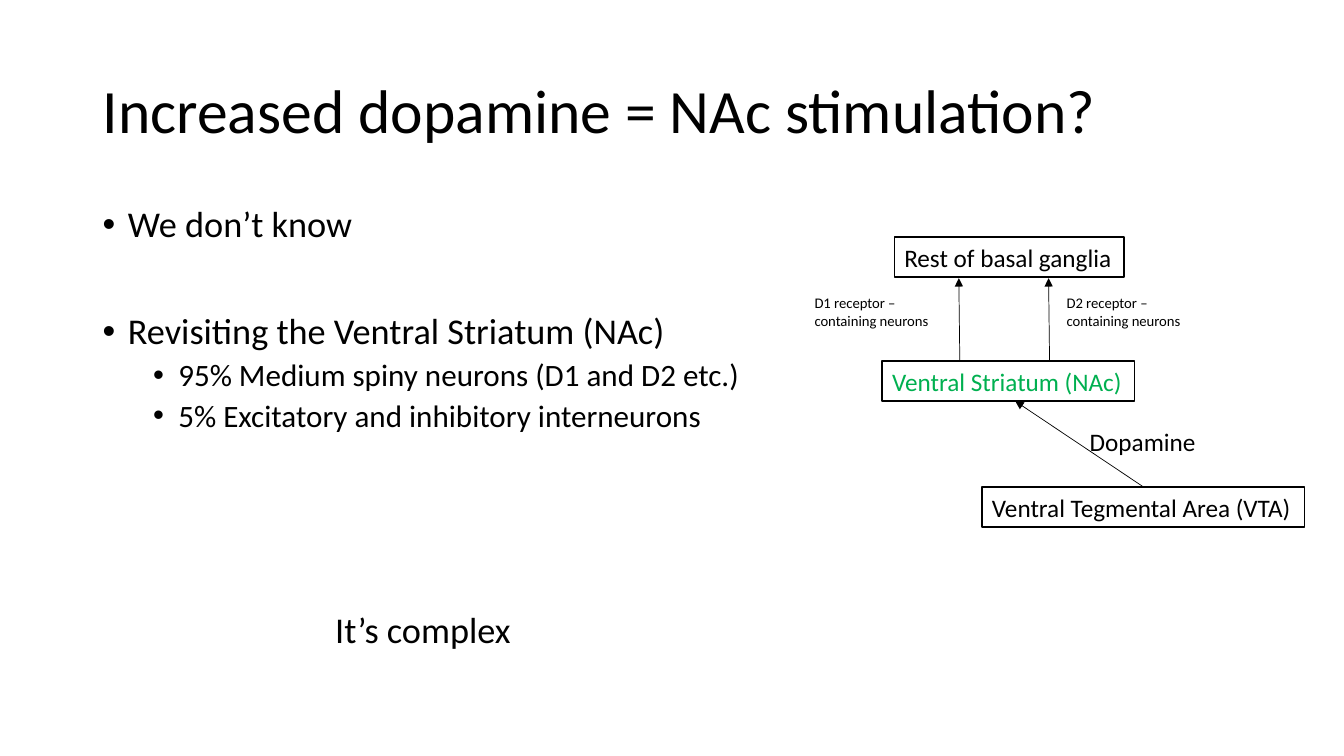
from lxml.etree import SubElement as Sub
from pptx import Presentation
from pptx.dml.color import RGBColor as Rgb
from pptx.enum.shapes import MSO_CONNECTOR as Con, MSO_SHAPE as Shp
from pptx.enum.text import MSO_ANCHOR as Anc, MSO_AUTO_SIZE as Fit, PP_ALIGN as Al
from pptx.oxml.ns import qn
from pptx.util import Inches as In, Pt

COL = {"ink": "000000", "paper": "FFFFFF", "green": "00B050"}
FACE = "Calibri"
WIDE, HIGH = 13.33, 7.5

TITLE = "Increased dopamine = NAc stimulation?"
HEAD, SUB = (25.9, 0.25), (22.2, 0.75)
BODY = [
    ("We don’t know", HEAD, 10),
    ("Revisiting the Ventral Striatum (NAc)", HEAD, 48.4),
    ("95% Medium spiny neurons (D1 and D2 etc.)", SUB, 5),
    ("5% Excitatory and inhibitory interneurons", SUB, 5),
    ("It’s complex", (25.9, None), 127.5),
]
BOXES = {
    "vta": ("Ventral Tegmental Area (VTA)", 9.74, 4.83, 3.2, "ink"),
    "nac": ("Ventral Striatum (NAc)", 8.75, 3.58, 2.5, "green"),
    "rest": ("Rest of basal ganglia", 8.87, 2.35, 2.28, "ink"),
}
ROW = 0.4
LABELS = [
    (["Dopamine"], 10.71, 4.18, 1.26, ROW, 18),
    (["D1 receptor –", "containing neurons"], 7.98, 2.87, 1.35, 0.45, 10.5),
    (["D2 receptor –", "containing neurons"], 10.48, 2.87, 1.35, 0.45, 10.5),
]
RISERS = [9.52, 10.41]
TIP = (10.07, 3.98)

deck = Presentation()
deck.slide_width, deck.slide_height = In(WIDE), In(HIGH)
slide = deck.slides.add_slide(deck.slide_layouts[5])
shapes = slide.shapes


def style(par, size, col="ink", align=Al.LEFT):
    par.alignment = align
    font = par.font
    font.name, font.size = FACE, Pt(size)
    font.color.rgb = Rgb.from_string(COL[col])


def write(shape, lines, size, col="ink"):
    frame = shape.text_frame
    frame.text = "\n".join(lines)
    frame.word_wrap = False
    frame.auto_size = Fit.SHAPE_TO_FIT_TEXT
    for par in frame.paragraphs:
        style(par, size, col)


def arrow(x1, y1, x2, y2):
    line = shapes.add_connector(Con.STRAIGHT, In(x1), In(y1), In(x2), In(y2))
    line.line.width = Pt(0.5)
    line.line.color.rgb = Rgb.from_string(COL["ink"])
    Sub(line.line._get_or_add_ln(), qn("a:tailEnd"), type="triangle")
    Sub(line._element.spPr, qn("a:effectLst"))
    return line


def bullet(par, left):
    props = par._p.get_or_add_pPr()
    props.set("marL", str(In(left)))
    props.set("indent", str(In(-0.25)))
    Sub(props, qn("a:buFont"), typeface="Arial")
    Sub(props, qn("a:buChar"), char="•")


head = shapes.title
head.left, head.top, head.width, head.height = In(0.92), In(0.4), In(11.5), In(1.45)
frame = head.text_frame
frame.text = TITLE
frame.vertical_anchor, frame.auto_size = Anc.MIDDLE, Fit.NONE
frame.paragraphs[0].line_spacing = 0.9
style(frame.paragraphs[0], 44)

frame = shapes.add_textbox(In(0.92), In(2), In(6.55), In(4.76)).text_frame
frame.word_wrap = True
frame.text = "\n".join(text for text, _, _ in BODY)
for par, (_, (size, left), gap) in zip(frame.paragraphs, BODY):
    par.line_spacing, par.space_before = 0.9, Pt(gap)
    if left:
        bullet(par, left)
    style(par, size, align=Al.LEFT if left else Al.CENTER)

nodes = {}
for key, (text, x, y, w, col) in BOXES.items():
    box = shapes.add_shape(Shp.RECTANGLE, In(x), In(y), In(w), In(ROW))
    box.shadow.inherit = False
    box.fill.solid()
    box.fill.fore_color.rgb = Rgb.from_string(COL["paper"])
    box.line.color.rgb = Rgb.from_string(COL["ink"])
    box.line.width = Pt(1)
    write(box, [text], 18, col)
    nodes[key] = box

for lines, x, y, w, h, size in LABELS:
    write(shapes.add_textbox(In(x), In(y), In(w), In(h)), lines, size)

for x in RISERS:
    arrow(x, 3.59, x - 0.01, 2.76)
arrow(11.34, 4.83, *TIP).begin_connect(nodes["vta"], 0)

deck.save("out.pptx")
